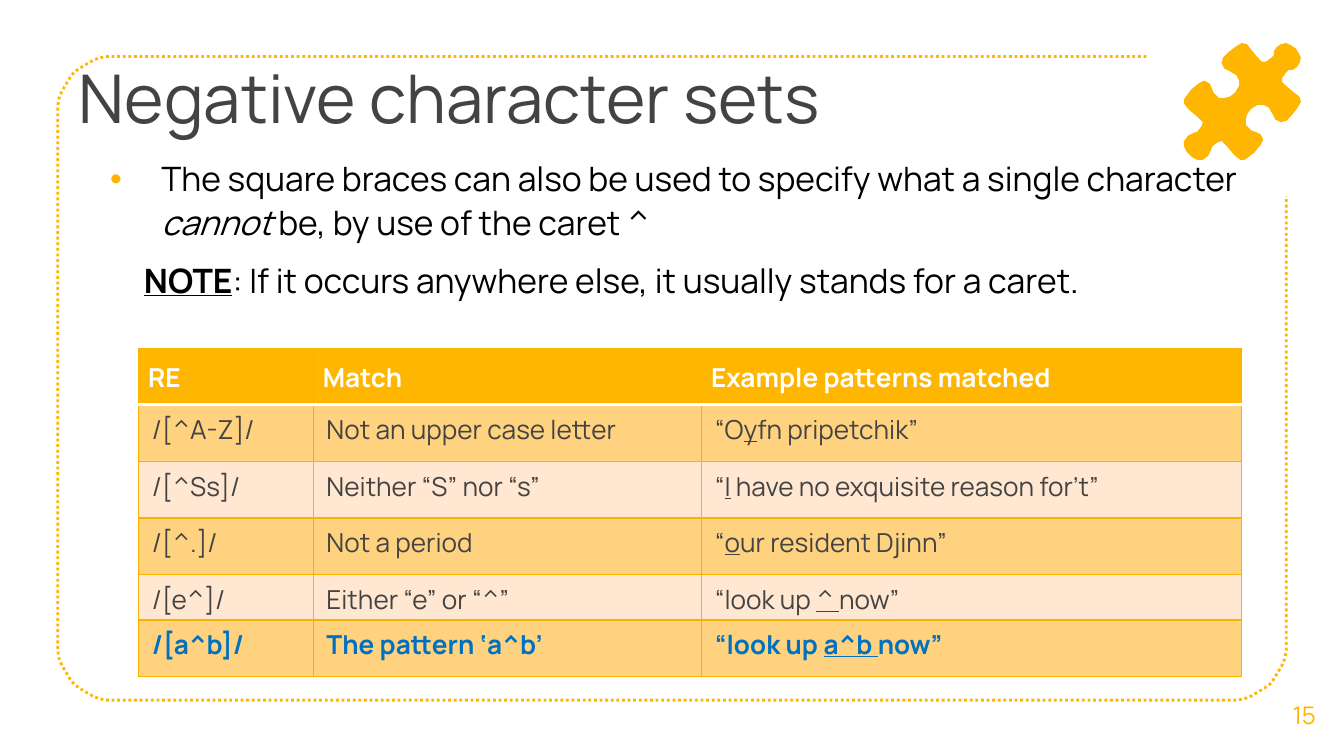
import math

from lxml import etree
from pptx import Presentation
from pptx.dml.color import RGBColor
from pptx.enum.dml import MSO_LINE
from pptx.enum.text import MSO_ANCHOR, MSO_AUTO_SIZE, PP_ALIGN
from pptx.oxml.ns import qn
from pptx.util import Cm, Pt

DOTTED = MSO_LINE.ROUND_DOT
TOP, MIDDLE = MSO_ANCHOR.TOP, MSO_ANCHOR.MIDDLE
LEFT, CENTER = PP_ALIGN.LEFT, PP_ALIGN.CENTER
FIXED = MSO_AUTO_SIZE.NONE

FONT = "Manrope"
AMBER, GRAY, BLACK, WHITE, BLUE = "FFB600", "434343", "000000", "FFFFFF", "0070C0"
GRID, DARK_BAND, LIGHT_BAND = "F9B200", "FFD27F", "FFE7D1"
UNIT = Cm(0.0254)

PUZZLE_HALF = [
    (964, 36), (961, 34), (957, 32), (953, 33), (950, 35), (948, 38), (948, 41),
    (946, 43), (942, 46), (939, 46), (936, 43), (931, 37), (928, 33), (924, 32),
    (919, 35), (914, 39), (910, 43), (909, 47), (911, 51), (915, 53), (920, 56),
    (922, 60), (922, 64), (919, 69), (915, 72), (911, 73), (907, 73), (903, 69),
    (901, 64), (900, 62), (896, 60), (892, 62), (886, 67), (881, 74), (881, 77),
    (884, 81), (891, 87), (895, 91), (894, 94), (891, 98), (888, 99), (884, 101),
    (881, 105), (881, 109), (883, 113), (885, 115),
]

COLUMNS = [3.3, 7.34, 10.21]
ROW_HEIGHTS = [1.07, 1.07, 1.07, 1.07, 0.86, 1.07]
ROWS = [
    ["RE", "Match", "Example patterns matched"],
    ["/[^A-Z]/", "Not an upper case letter", "“O_y_fn pripetchik”"],
    ["/[^Ss]/", "Neither “S” nor “s”", "“_I_ have no exquisite reason for’t”"],
    ["/[^.]/", "Not a period", "“_o_ur resident Djinn”"],
    ["/[e^]/", "Either “e” or “^”", "“look up _^ _now”"],
    ["/[a^b]/", "The pattern ‘a^b’", "“look up _a^b _now”"],
]


def color(value):
    return RGBColor.from_string(value)


def format_para(para, size, value, bold=None, align=LEFT):
    para.alignment = align
    para.font.name = FONT
    para.font.size = Pt(size)
    para.font.color.rgb = color(value)
    para.font.bold = bold


def add_spans(para, spans):
    for text, styles in spans:
        span = para.add_run()
        span.text = text
        for style in styles:
            setattr(span.font, style, True)


def place(box, left, top, width, height):
    box.left, box.top, box.width, box.height = map(Cm, (left, top, width, height))


def format_frame(frame, inset, anchor=TOP):
    frame.word_wrap = True
    frame.auto_size = FIXED
    frame.vertical_anchor = anchor
    frame.margin_left = frame.margin_right = Cm(0.25)
    frame.margin_top = frame.margin_bottom = Cm(inset)


def set_bullet(para, margin, indent, symbol=None):
    props = para._p.get_or_add_pPr()
    props.set("marL", str(Cm(margin)))
    props.set("indent", str(Cm(indent)))
    if symbol:
        tint = etree.SubElement(props, qn("a:buClr"))
        etree.SubElement(tint, qn("a:srgbClr"), val=AMBER)
        etree.SubElement(props, qn("a:buFont"), typeface="Arial")
        etree.SubElement(props, qn("a:buChar"), char=symbol)
    else:
        etree.SubElement(props, qn("a:buNone"))


def add_outline(page, points, closed):
    builder = page.shapes.build_freeform(*points[0], scale=UNIT)
    builder.add_line_segments(points[1:], close=closed)
    outline = builder.convert_to_shape()
    outline.shadow.inherit = False
    return outline


def corner(x, y, start, radius=42, steps=12):
    angles = [math.radians(start - 90 * step / steps) for step in range(steps + 1)]
    return [(round(x + radius * math.cos(a)), round(y - radius * math.sin(a)))
            for a in angles]


def add_border(page):
    points = [(853, 42)]
    points += corner(85, 84, 180)[::-1]
    points += corner(85, 479, 270)[::-1]
    points += corner(915, 479, 360)[::-1]
    points.append((957, 146))
    border = add_outline(page, points, False)
    border.fill.background()
    border.line.color.rgb = color(AMBER)
    border.line.width = Pt(1.5)
    border.line.dash_style = DOTTED


def add_puzzle(page):
    mirrored = [(1000 - y, 1000 - x) for x, y in reversed(PUZZLE_HALF)]
    puzzle = add_outline(page, PUZZLE_HALF + mirrored, True)
    puzzle.fill.solid()
    puzzle.fill.fore_color.rgb = color(AMBER)
    puzzle.line.fill.background()


def fill_title(box):
    place(box, 1.24, 0.81, 19.08, 2.39)
    format_frame(box.text_frame, 0.25)
    para = box.text_frame.paragraphs[0]
    add_spans(para, [("Negative character sets", [])])
    format_para(para, 36, GRAY)


def fill_body(box):
    place(box, 1.83, 2.81, 22.33, 3.94)
    frame = box.text_frame
    format_frame(frame, 0.13)
    rule, note = frame.paragraphs[0], frame.add_paragraph()
    add_spans(rule, [
        ("The square braces can also be used to specify what a single character ", []),
        ("cannot ", ["italic"]),
        ("be, by use of the caret ^", []),
    ])
    add_spans(note, [
        ("NOTE", ["bold", "underline"]),
        (": If it occurs anywhere else, it usually stands for a caret.", []),
    ])
    for para in (rule, note):
        para.line_spacing = 1.07
        para.space_before, para.space_after = Pt(0), Pt(8)
    set_bullet(rule, 0.97, -0.97, "•")
    set_bullet(note, 0.64, 0)
    for para in (rule, note):
        format_para(para, 18, BLACK)


def add_page_number(page):
    box = page.shapes.add_textbox(Cm(23.9), Cm(12.75), Cm(1.5), Cm(1.52))
    format_frame(box.text_frame, 0.25, MIDDLE)
    para = box.text_frame.paragraphs[0]
    add_spans(para, [("15", [])])
    format_para(para, 13, AMBER, align=CENTER)


def set_edge(cell, side, value, width):
    props = cell._tc.get_or_add_tcPr()
    edge = etree.SubElement(props, qn("a:ln" + side), w=str(Pt(width)))
    fill = etree.SubElement(edge, qn("a:solidFill"))
    etree.SubElement(fill, qn("a:srgbClr"), val=value)


def format_cell(cell, row, text):
    header, last = row == 0, row == len(ROWS) - 1
    divided = {"T": row == 1, "B": header}
    for side in "LRTB":
        if divided.get(side):
            set_edge(cell, side, WHITE, 2)
        else:
            set_edge(cell, side, GRID, 0.75)
    cell.fill.solid()
    band = DARK_BAND if row % 2 else LIGHT_BAND
    cell.fill.fore_color.rgb = color(AMBER if header else band)
    cell.vertical_anchor = MIDDLE if header else TOP
    cell.margin_left = cell.margin_right = Cm(0.18 if header else 0.25)
    cell.margin_top = Cm(0 if header else 0.13)
    cell.margin_bottom = Cm(0 if header else 0.04)
    para = cell.text_frame.paragraphs[0]
    pieces = text.split("_")
    add_spans(para, [(piece, ["underline"] if index % 2 else [])
                     for index, piece in enumerate(pieces)])
    if header:
        para.line_spacing = 1.07
    format_para(para, 14, WHITE if header else BLUE if last else GRAY, header or last)


def add_pattern_table(page):
    table = page.shapes.add_table(len(ROWS), len(COLUMNS), Cm(2.62), Cm(6.58),
                                  Cm(sum(COLUMNS)), Cm(sum(ROW_HEIGHTS))).table
    table.horz_banding = False
    for column, width in zip(table.columns, COLUMNS):
        column.width = Cm(width)
    for row, (height, texts) in enumerate(zip(ROW_HEIGHTS, ROWS)):
        table.rows[row].height = Cm(height)
        for column, text in enumerate(texts):
            format_cell(table.cell(row, column), row, text)


def main():
    deck = Presentation()
    deck.slide_width, deck.slide_height = Cm(25.4), Cm(14.29)
    page = deck.slides.add_slide(deck.slide_layouts[1])
    add_border(page)
    fill_title(page.shapes.title)
    add_page_number(page)
    add_puzzle(page)
    fill_body(page.placeholders[1])
    add_pattern_table(page)
    deck.save("out.pptx")


main()
